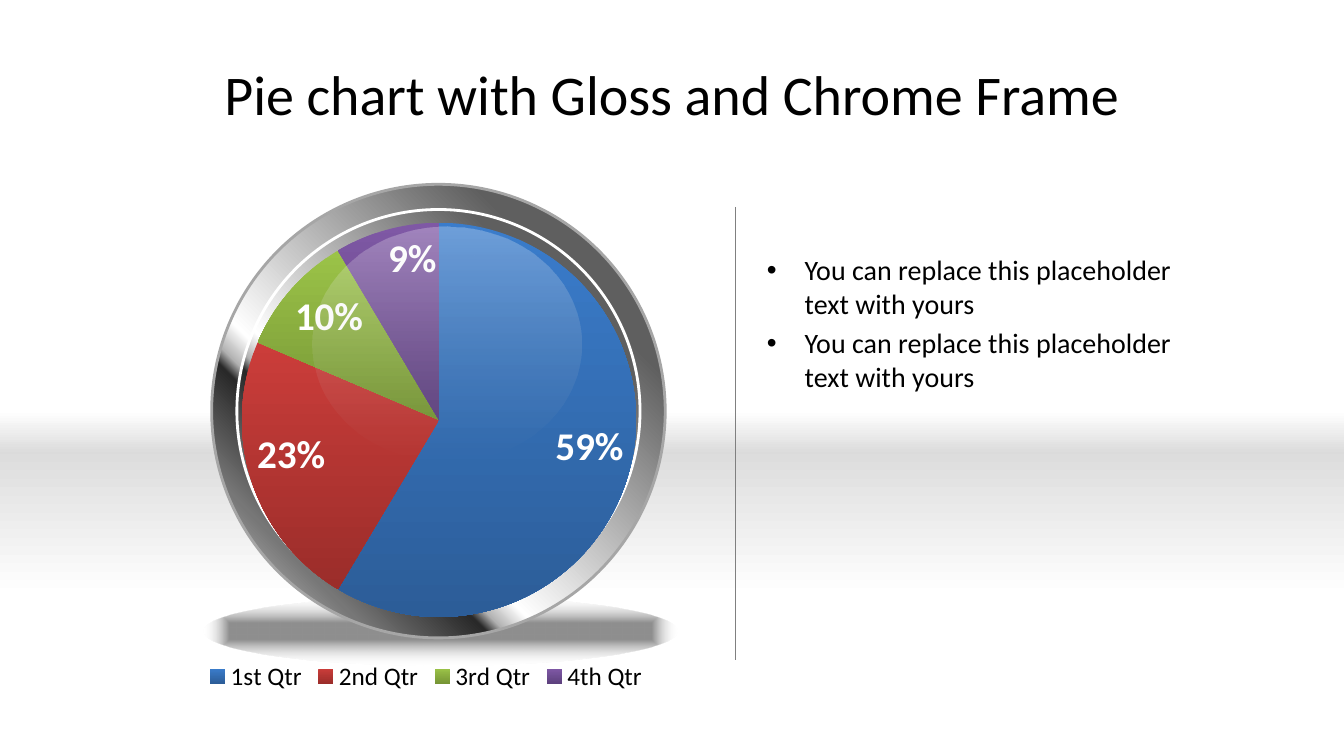
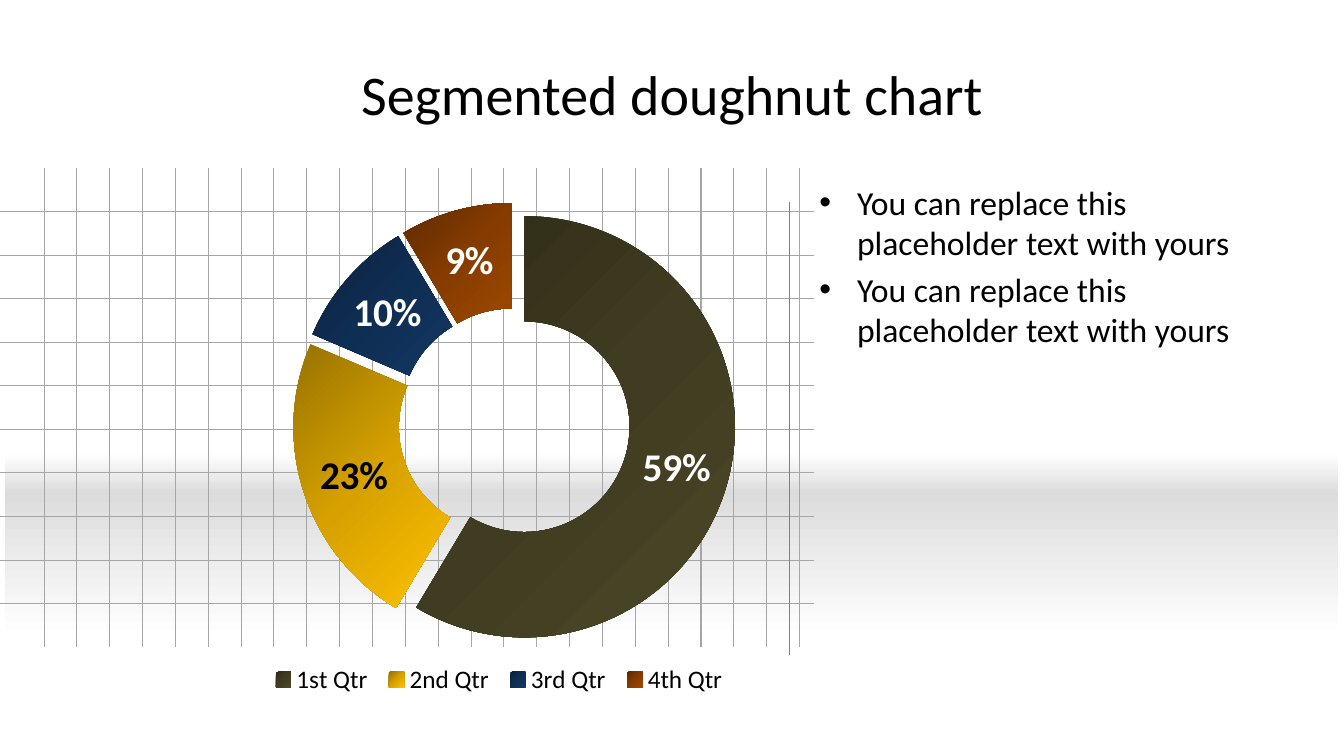
"""Build two chart slides: a framed glossy pie and a segmented doughnut."""
from dataclasses import dataclass

import lxml.etree
import pptx
import pptx.chart.data
import pptx.dml.color
import pptx.enum.chart
import pptx.enum.shapes
import pptx.enum.text
import pptx.oxml.ns
import pptx.util

Cm, Pt = pptx.util.Cm, pptx.util.Pt
qn = pptx.oxml.ns.qn
SHAPE = pptx.enum.shapes.MSO_SHAPE
CHART = pptx.enum.chart.XL_CHART_TYPE


@dataclass(frozen=True)
class Theme:
    font: str = "Calibri"
    text: str = "000000"
    light: str = "FFFFFF"
    divider: str = "808080"
    grid: str = "A6A6A6"
    title_size: int = 40
    label_size: int = 28
    legend_size: int = 18
    band_top: tuple = ((0, "FFFFFF"), (100, "DBDBDB"))
    band_bottom: tuple = ((0, "DDDDDD"), (100, "FFFFFF"))
    chrome: tuple = ((0, "CBCBCB"), (13, "5F5F5F"), (21, "5F5F5F"), (63, "FFFFFF"),
                     (67, "B2B2B2"), (69, "292929"), (82, "777777"), (100, "EAEAEA"))
    shadow: tuple = ((24, "000000", 44), (100, "FFFFFF", 0))
    gloss: tuple = ((0, "FFFFFF", 27), (100, "B6B6B6", 0))


T = Theme()
CATEGORIES = ("1st Qtr", "2nd Qtr", "3rd Qtr", "4th Qtr")
VALUES = (8.2, 3.2, 1.4, 1.2)
BULLETS = ["You can replace this placeholder text with yours"] * 2

PIE = {
    "title": "Pie chart with Gloss and Chrome Frame",
    "band": (0, 33.87, 11.43),
    "body": (19.08, 6.25, 11.3, 9.32), "body_size": 20,
    "divider": (18.54, 5.21, 18.54, 16.64),
    "chart": (2.9, 3.3, 15.67, 14.25), "type": CHART.PIE,
    "plot": (0.204, 0.068, 0.634, 0.886),
    "angle": 90,
    "colors": (("3A7CCB", "2C5D98"), ("CB3D3A", "9B2D2A"),
               ("9BC348", "769535"), ("7F58A5", "5D417E")),
}
DOUGHNUT = {
    "title": "Segmented doughnut chart",
    "band": (0.13, 33.6, 12.47),
    "body": (20.4, 4.45, 11.79, 12.57), "body_size": 24,
    "divider": (19.9, 5.08, 19.9, 16.51),
    "chart": (5.51, 4.65, 15.88, 13.13), "type": CHART.DOUGHNUT,
    "plot": (0.118, 0.035, 0.702, 0.849),
    "legend": (0.07, 0.91, 0.75, 0.08),
    "angle": 45, "explosion": 10, "dark_label": 1,
    "colors": (("2D2A17", "403C21", "4C4727"), ("977200", "D7A200", "FFC000"),
               ("0B203B", "0F2E53", "123663"), ("5E2A00", "863C00", "9E4800")),
}
RINGS = ((11.43, T.grid), (10.16, T.light))
RING_CENTER = (11.05, 10.36)
GRID_SPAN = (0, 4.24, 20.52, 16.31)
GRID_ROWS = (5.33, 15.21, 10)
GRID_COLUMNS = (1.11, 20.15, 24)


def rgb(color):
    return pptx.dml.color.RGBColor.from_string(color)


def child(parent, tag, **attrs):
    return lxml.etree.SubElement(parent, qn(tag), {k: str(v) for k, v in attrs.items()})


def style_font(font, size, color=T.text, bold=False):
    font.name, font.size, font.bold = T.font, Pt(size), bold
    font.color.rgb = rgb(color)


def gradient(fill, root, stops, angle=None):
    """Fill with colour stops, along an angle or outward from the centre if none."""
    fill.gradient()
    grad = root.findall(".//" + qn("a:gradFill"))[-1]
    for old in list(grad):
        grad.remove(old)
    stop_list = child(grad, "a:gsLst")
    for position, color, *alpha in stops:
        stop = child(stop_list, "a:gs", pos=position * 1000)
        clr = child(stop, "a:srgbClr", val=color)
        if alpha:
            child(clr, "a:alpha", val=alpha[0] * 1000)
    if angle is None:
        center = child(grad, "a:path", path="shape")
        child(center, "a:fillToRect", l=50000, t=50000, r=50000, b=50000)
    else:
        child(grad, "a:lin", ang=angle * 60000, scaled=0)


def add_shape(s, kind, box, stops, angle=None, line=None):
    sp = s.shapes.add_shape(kind, *map(Cm, box))
    sp.shadow.inherit = False
    gradient(sp.fill, sp.element, stops, angle)
    if line:
        sp.line.color.rgb, sp.line.width = rgb(line), Pt(2)
    else:
        sp.line.fill.background()


def add_line(s, ends, color):
    cx = s.shapes.add_connector(pptx.enum.shapes.MSO_CONNECTOR.STRAIGHT, *map(Cm, ends))
    cx.line.color.rgb, cx.line.width = rgb(color), Pt(0.75)
    child(cx.element.spPr, "a:effectLst")


def add_band(s, left, width, middle):
    for top, height, stops in ((middle - 1.07, 1.08, T.band_top),
                               (middle, 3.61, T.band_bottom)):
        add_shape(s, SHAPE.RECTANGLE, (left, top, width, height), stops, 90)


def add_grid(s):
    def spread(first, last, count):
        return [first + (last - first) * i / (count - 1) for i in range(count)]

    left, top, right, bottom = GRID_SPAN
    for y in spread(*GRID_ROWS):
        add_line(s, (left, y, right, y), T.grid)
    for x in spread(*GRID_COLUMNS):
        add_line(s, (x, top, x, bottom), T.grid)


def add_title(s, text):
    sp = s.shapes.title
    sp.left, sp.top, sp.width, sp.height = map(Cm, (1.69, 0.76, 30.48, 3.18))
    tf = sp.text_frame
    tf.text = text
    tf.vertical_anchor = pptx.enum.text.MSO_ANCHOR.MIDDLE
    p = tf.paragraphs[0]
    p.alignment = pptx.enum.text.PP_ALIGN.CENTER
    style_font(p.runs[0].font, T.title_size)


def add_bullets(s, box, size):
    tf = s.shapes.add_textbox(*map(Cm, box)).text_frame
    tf.word_wrap = True
    for i, text in enumerate(BULLETS):
        p = tf.add_paragraph() if i else tf.paragraphs[0]
        p.text = text
        if i:
            p.space_before = Pt(size * 0.2)
        indent = Cm(0.95)
        props = p._p.get_or_add_pPr()
        props.set("marL", str(indent))
        props.set("indent", str(-indent))
        child(props, "a:buFont", typeface="Arial")
        child(props, "a:buChar", char="•")
        style_font(p.runs[0].font, size)


def make_layout(box, inner=False):
    layout = lxml.etree.Element(qn("c:layout"))
    manual = child(layout, "c:manualLayout")
    if inner:
        child(manual, "c:layoutTarget", val="inner")
    for tag in ("xMode", "yMode"):
        child(manual, "c:" + tag, val="edge")
    for tag, value in zip("xywh", box):
        child(manual, "c:" + tag, val=value)
    return layout


def drop_layout(parent):
    for old in parent.findall(qn("c:layout")):
        parent.remove(old)


def add_pie_chart(s, spec_data):
    data = pptx.chart.data.CategoryChartData()
    data.categories = CATEGORIES
    data.add_series("Series 1", VALUES)
    chart = s.shapes.add_chart(spec_data["type"], *map(Cm, spec_data["chart"]), data).chart
    root = chart.element
    chart.has_title = False
    style_font(chart.font, T.legend_size)
    background = lxml.etree.Element(qn("c:spPr"))
    child(background, "a:noFill")
    child(child(background, "a:ln"), "a:noFill")
    root.find(qn("c:chart")).addnext(background)

    chart.has_legend = True
    chart.legend.position = pptx.enum.chart.XL_LEGEND_POSITION.BOTTOM
    chart.legend.include_in_layout = False
    style_font(chart.legend.font, T.legend_size)
    area = root.find(".//" + qn("c:plotArea"))
    drop_layout(area)
    area.insert(0, make_layout(spec_data["plot"], inner=True))
    if "legend" in spec_data:
        legend = root.find(".//" + qn("c:legend"))
        drop_layout(legend)
        legend.find(qn("c:legendPos")).addnext(make_layout(spec_data["legend"]))

    plot = chart.plots[0]
    plot.vary_by_categories = True
    series = plot.series[0]
    for i, colors in enumerate(spec_data["colors"]):
        stops = [(100 * k // (len(colors) - 1), c) for k, c in enumerate(colors)]
        gradient(series.points[i].format.fill, root, stops, spec_data["angle"])
    if "explosion" in spec_data:
        explosion = lxml.etree.Element(qn("c:explosion"), val=str(spec_data["explosion"]))
        root.find(".//" + qn("c:ser")).find(qn("c:tx")).addnext(explosion)

    labels = series.data_labels
    labels.show_value, labels.show_percentage = False, True
    labels.number_format, labels.number_format_is_linked = "0%", False
    style_font(labels.font, T.label_size, T.light, True)
    if spec_data["type"] == CHART.PIE:
        labels.position = pptx.enum.chart.XL_LABEL_POSITION.INSIDE_END
    if "dark_label" in spec_data:
        label = series.points[spec_data["dark_label"]].data_label
        style_font(label.font, T.label_size, T.text, True)
        node = root.find(".//" + qn("c:dLbl"))
        node.find(qn("c:showVal")).set("val", "0")
        node.find(qn("c:showPercent")).set("val", "1")


def start_slide(prs, content):
    s = prs.slides.add_slide(prs.slide_layouts[5])
    add_title(s, content["title"])
    add_band(s, *content["band"])
    return s


def finish_slide(s, content):
    add_pie_chart(s, content)
    add_line(s, content["divider"], T.divider)
    add_bullets(s, content["body"], content["body_size"])


def main():
    prs = pptx.Presentation()
    prs.slide_width, prs.slide_height = Cm(33.87), Cm(19.05)

    s = start_slide(prs, PIE)
    add_shape(s, SHAPE.OVAL, (5.13, 15.04, 11.94, 1.73), T.shadow)
    x, y = RING_CENTER
    for size, line in RINGS:
        add_shape(s, SHAPE.OVAL, (x - size / 2, y - size / 2, size, size), T.chrome, 135, line)
    finish_slide(s, PIE)
    add_shape(s, SHAPE.OVAL, (7.87, 5.72, 6.78, 5.92), T.gloss, 90)

    s = start_slide(prs, DOUGHNUT)
    add_grid(s)
    finish_slide(s, DOUGHNUT)
    prs.save("out.pptx")


if __name__ == "__main__":
    main()
